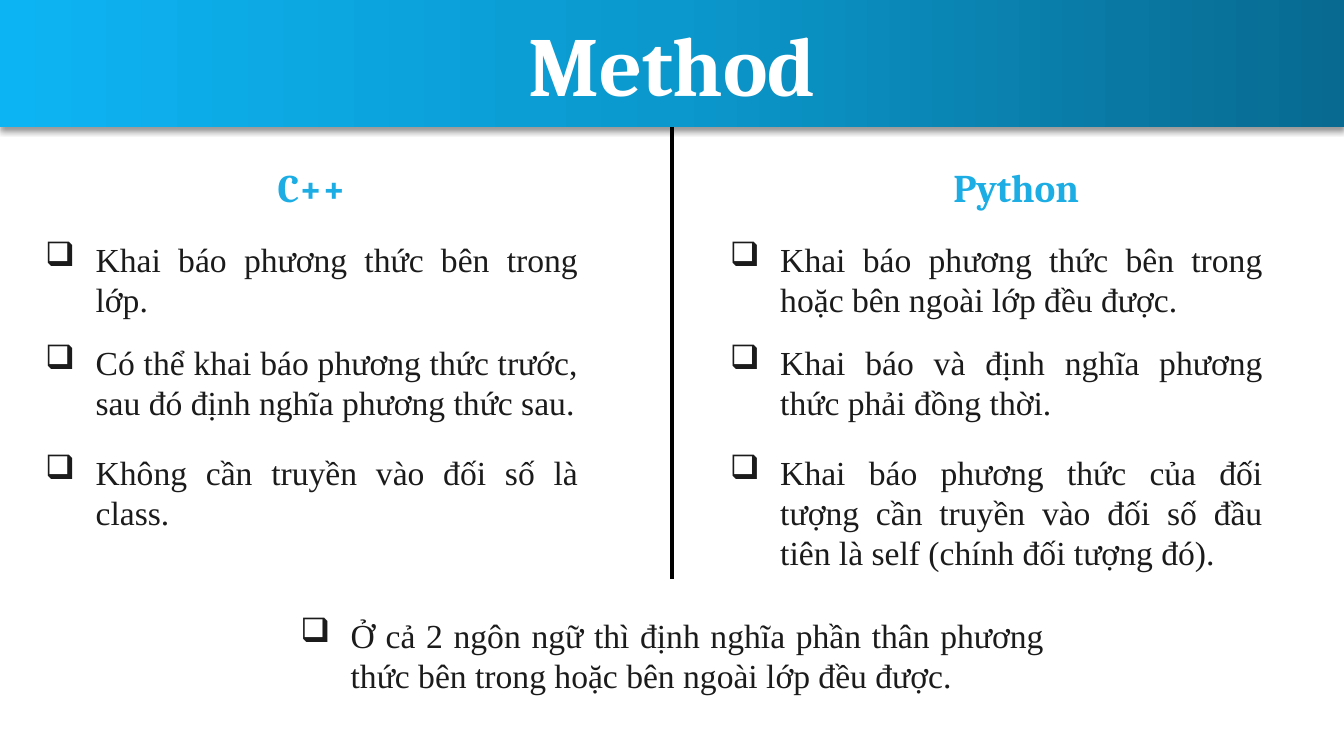
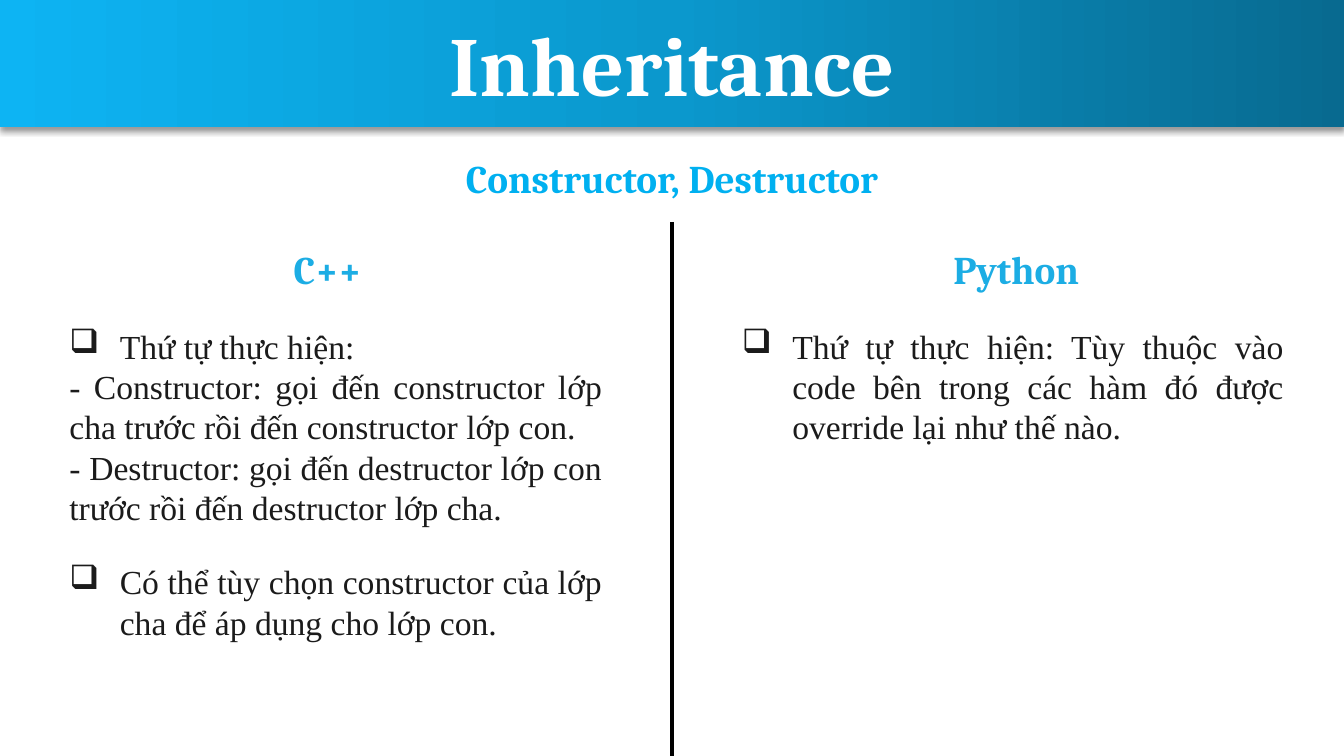
from lxml import etree
from pptx import Presentation
from pptx import util as u
from pptx.dml.color import RGBColor
from pptx.enum import shapes, text
from pptx.oxml import parse_xml
from pptx.oxml.ns import nsdecls, qn

WIDTH, HEIGHT, BAND = 13.33, 7.5, 1.26
TITLE = {"name": "Cambria", "size": u.Pt(60), "bold": True, "color": "FFFFFF"}
HEADING = {"name": "Cambria", "size": u.Pt(28), "bold": True, "color": "1CADE4"}
TOPIC = {**HEADING, "color": "00B0F0"}
BODY = {"name": "Times New Roman", "size": u.Pt(24), "bold": False, "color": "1B1B1B"}
STOPS = [(0, "086A90"), (50, "0B98CD"), (100, "0DB4F3")]


def paint(target, color):
    target.rgb = RGBColor.from_string(color)


def write(box, place, lines, style, align=text.PP_ALIGN.CENTER):
    box.left, box.top, box.width, box.height = map(u.Inches, place)
    frame = box.text_frame
    frame.word_wrap = True
    frame.auto_size = text.MSO_AUTO_SIZE.NONE
    frame.vertical_anchor = text.MSO_ANCHOR.TOP
    for number, line in enumerate(lines):
        para = frame.add_paragraph() if number else frame.paragraphs[0]
        para.alignment = align
        span = para.add_run()
        span.text = line
        for name, value in style.items():
            if name == "color":
                paint(span.font.color, value)
            else:
                setattr(span.font, name, value)
        if style is BODY and number == 0:
            props = para._p.get_or_add_pPr()
            props.set("marL", str(u.Inches(0.5)))
            props.set("indent", str(-u.Inches(0.5)))
            etree.SubElement(props, qn("a:buChar")).set("char", "❑")


pages = [
    {
        "title": "Method",
        "divider": (BAND, 5.74),
        "headings": [
            ((2.22, 1.57, 1.74, 0.57), "C++", HEADING),
            ((9.21, 1.57, 1.74, 0.57), "Python", HEADING),
        ],
        "points": [
            ((0.35, 2.32, 5.48, 0.91), ["Khai báo phương thức bên trong lớp."]),
            ((0.35, 3.34, 5.48, 0.91), ["Có thể khai báo phương thức trước, sau đó định nghĩa phương thức sau."]),
            ((0.35, 4.43, 5.48, 0.91), ["Không cần truyền vào đối số là class."]),
            ((7.14, 2.32, 5.48, 0.91), ["Khai báo phương thức bên trong hoặc bên ngoài lớp đều được."]),
            ((7.14, 3.34, 5.48, 0.91), ["Khai báo và định nghĩa phương thức phải đồng thời."]),
            ((7.14, 4.43, 5.48, 1.31), ["Khai báo phương thức của đối tượng cần truyền vào đối số đầu tiên là self (chính đối tượng đó)."]),
            ((2.88, 6.05, 7.57, 0.91), ["Ở cả 2 ngôn ngữ thì định nghĩa phần thân phương thức bên trong hoặc bên ngoài lớp đều được."]),
        ],
    },
    {
        "title": "Inheritance",
        "divider": (2.2, HEIGHT),
        "headings": [
            ((4.31, 1.48, 4.71, 0.57), "Constructor, Destructor", TOPIC),
            ((2.38, 2.38, 1.74, 0.57), "C++", HEADING),
            ((9.21, 2.38, 1.74, 0.57), "Python", HEADING),
        ],
        "points": [
            ((0.59, 3.18, 5.48, 2.12), [
                "Thứ tự thực hiện:",
                "- Constructor: gọi đến constructor lớp cha trước rồi đến constructor lớp con.",
                "- Destructor: gọi đến destructor lớp con trước rồi đến destructor lớp cha.",
            ]),
            ((0.59, 5.52, 5.48, 0.91), ["Có thể tùy chọn constructor của lớp cha để áp dụng cho lớp con."]),
            ((7.26, 3.18, 5.57, 1.31), ["Thứ tự thực hiện: Tùy thuộc vào code bên trong các hàm đó được override lại như thế nào."]),
        ],
    },
]

deck = Presentation()
deck.slide_width, deck.slide_height = u.Inches(WIDTH), u.Inches(HEIGHT)
stops = "".join(
    f'<a:gs pos="{place * 1000}"><a:srgbClr val="{color}"/></a:gs>' for place, color in STOPS
)

for content in pages:
    page = deck.slides.add_slide(deck.slide_layouts[5])

    band = page.shapes.add_shape(
        shapes.MSO_SHAPE.RECTANGLE, 0, 0, u.Inches(WIDTH), u.Inches(BAND)
    )
    band.line.fill.background()
    band.shadow.inherit = False
    band.fill.gradient()
    props = band._element.spPr
    props.replace(props.find(qn("a:gradFill")), parse_xml(
        f'<a:gradFill {nsdecls("a")} rotWithShape="1"><a:gsLst>{stops}</a:gsLst>'
        '<a:lin ang="10800000" scaled="0"/></a:gradFill>'
    ))
    props.find(qn("a:effectLst")).append(parse_xml(
        f'<a:outerShdw {nsdecls("a")} blurRad="{u.Pt(4)}" dist="{u.Pt(3)}" dir="5400000" '
        'algn="t" rotWithShape="0"><a:srgbClr val="000000"><a:alpha val="40000"/>'
        '</a:srgbClr></a:outerShdw>'
    ))

    title = page.shapes.title
    title._element.addprevious(band._element)
    write(title, (0, 0.07, WIDTH, 1.11), [content["title"]], TITLE)

    top, bottom = content["divider"]
    middle = u.Inches(WIDTH / 2)
    divider = page.shapes.add_connector(
        shapes.MSO_CONNECTOR.STRAIGHT, middle, u.Inches(top), middle, u.Inches(bottom)
    )
    if top == BAND:
        divider.begin_connect(band, 2)
    divider.line.width = u.Pt(3)
    paint(divider.line.color, "000000")
    etree.SubElement(divider._element.spPr, qn("a:effectLst"))

    for place, heading, style in content["headings"]:
        write(page.shapes.add_textbox(0, 0, 0, 0), place, [heading], style)
    for place, lines in content["points"]:
        write(page.shapes.add_textbox(0, 0, 0, 0), place, lines, BODY, text.PP_ALIGN.JUSTIFY)

deck.save("out.pptx")
